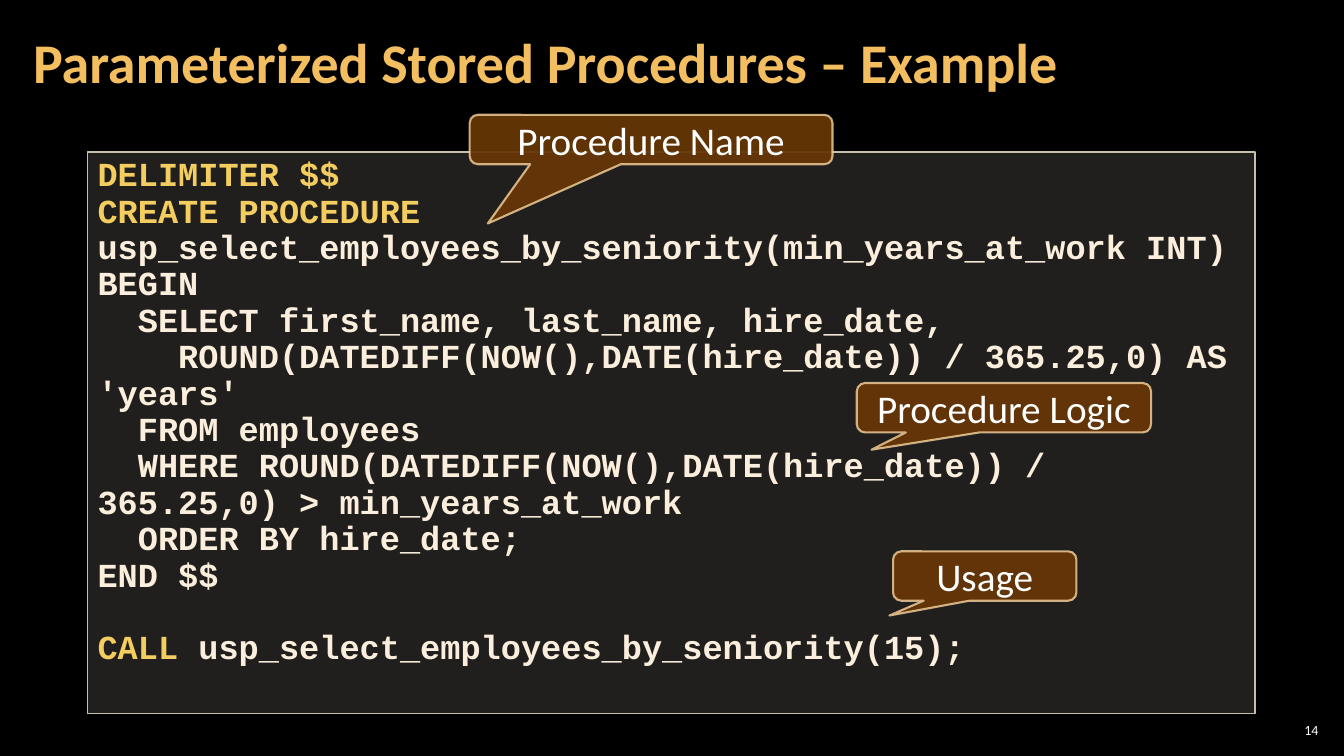
from lxml import etree
from pptx import Presentation
from pptx import util as u
from pptx.dml.color import RGBColor
from pptx.enum import shapes, text
from pptx.oxml.ns import qn

GOLD, CREAM, WHITE = "F3CD60", "FBEEDC", "FFFFFF"
CODE = [
    [("DELIMITER $$", GOLD)],
    [("CREATE PROCEDURE ", GOLD),
     ("usp_select_employees_by_seniority(min_years_at_work INT)", CREAM)],
    [("BEGIN", CREAM)],
    [("  SELECT first_name, last_name, hire_date,", CREAM)],
    [("    ROUND(DATEDIFF(NOW(),DATE(hire_date)) / 365.25,0) AS 'years'", CREAM)],
    [("  FROM employees", CREAM)],
    [("  WHERE ROUND(DATEDIFF(NOW(),DATE(hire_date)) / 365.25,0)"
      " > min_years_at_work", CREAM)],
    [("  ORDER BY hire_date;", CREAM)],
    [("END $$", CREAM)],
    [("CALL", GOLD), (" usp_select_employees_by_seniority(15);", CREAM)],
]
LINE_HEIGHT = 26
CALLOUTS = [
    ("Procedure Name", (335.5, 82, 259.2, 35.3), (-0.45, 1.7)),
    ("Procedure Logic", (612, 273.6, 210.2, 35.3), (-0.45, 0.85)),
    ("Usage", (637.9, 393.8, 131, 35.3), (-0.52, 0.8)),
]


def paint(color_format, color, opacity=100):
    """Set a colour from a hex string, with opacity in percent."""
    color_format.rgb = RGBColor.from_string(color)
    if opacity < 100:
        for node in color_format._xFill.iter(qn("a:srgbClr")):
            etree.SubElement(node, qn("a:alpha")).set("val", str(opacity * 1000))


def place(shape, left, top, width, height):
    """Move and size a shape, in points."""
    shape.left, shape.top = u.Pt(left), u.Pt(top)
    shape.width, shape.height = u.Pt(width), u.Pt(height)


def set_frame(frame, anchor, side=7.2, edge=3.6):
    """Set wrapping, anchor and insets of a text frame."""
    frame.word_wrap = True
    frame.auto_size = text.MSO_AUTO_SIZE.NONE
    frame.vertical_anchor = anchor
    frame.margin_left = frame.margin_right = u.Pt(side)
    frame.margin_top = frame.margin_bottom = u.Pt(edge)


def add_span(para, words, size, color, font="Calibri", bold=False):
    """Add one formatted run to a paragraph."""
    span = para.add_run()
    span.text = words
    span.font.name, span.font.size, span.font.bold = font, u.Pt(size), bold
    paint(span.font.color, color)


def add_panel(page, kind, bounds, fill, line, weight):
    """Add a shape; fill and line are (colour, opacity) pairs."""
    panel = page.shapes.add_shape(kind, *map(u.Pt, bounds))
    panel.shadow.inherit = False
    panel.fill.solid()
    paint(panel.fill.fore_color, *fill)
    panel.line.width = u.Pt(weight)
    panel.line.fill.solid()
    paint(panel.line.color, *line)
    return panel


def add_title(page, words):
    """Fill and format the title placeholder."""
    title = page.shapes.title
    place(title, 15.1, 2.9, 753.8, 87.1)
    set_frame(title.text_frame, text.MSO_ANCHOR.MIDDLE, 8.5, 2.8)
    para = title.text_frame.paragraphs[0]
    para.alignment = text.PP_ALIGN.LEFT
    para.line_spacing = 0.9
    add_span(para, words, 40, "F3BE60", bold=True)


def add_code(page):
    """Add the code panel with its highlighted listing."""
    panel = add_panel(page, shapes.MSO_SHAPE.RECTANGLE, (62.6, 108.7, 833.8, 401),
                      ("D9D5C7", 15), ("C7BFAC", 100), 1)
    frame = panel.text_frame
    set_frame(frame, text.MSO_ANCHOR.TOP)
    for index, line in enumerate(CODE):
        para = frame.add_paragraph() if index else frame.paragraphs[0]
        para.alignment = text.PP_ALIGN.LEFT
        para.line_spacing = u.Pt(LINE_HEIGHT)
        if line[0][0] == "CALL":
            para.space_before = u.Pt(LINE_HEIGHT)
        for words, color in line:
            add_span(para, words, 24, color, "Courier New", True)


def add_callout(page, words, bounds, tip):
    """Add a rounded callout whose tip is relative to its centre."""
    callout = add_panel(page, shapes.MSO_SHAPE.ROUNDED_RECTANGULAR_CALLOUT, bounds,
                        ("663606", 95), ("F8D49E", 80), 1.5)
    callout.adjustments[0], callout.adjustments[1] = tip
    set_frame(callout.text_frame, text.MSO_ANCHOR.MIDDLE)
    para = callout.text_frame.paragraphs[0]
    para.alignment = text.PP_ALIGN.CENTER
    add_span(para, words, 28, WHITE)


def add_page_number(page, number):
    """Add the page number at the lower right."""
    box = page.shapes.add_textbox(*map(u.Pt, (910.8, 514.1, 33.8, 15.1)))
    set_frame(box.text_frame, text.MSO_ANCHOR.MIDDLE, 2.8, 2.8)
    para = box.text_frame.paragraphs[0]
    para.alignment = text.PP_ALIGN.RIGHT
    add_span(para, number, 10, WHITE)


def main():
    """Build and save the slide."""
    deck = Presentation()
    deck.slide_width, deck.slide_height = u.Pt(960), u.Pt(540)
    page = deck.slides.add_slide(deck.slide_layouts[5])
    page.background.fill.solid()
    paint(page.background.fill.fore_color, "000000")
    add_page_number(page, "14")
    add_title(page, "Parameterized Stored Procedures – Example")
    add_code(page)
    for words, bounds, tip in CALLOUTS:
        add_callout(page, words, bounds, tip)
    deck.save("out.pptx")


if __name__ == "__main__":
    main()
